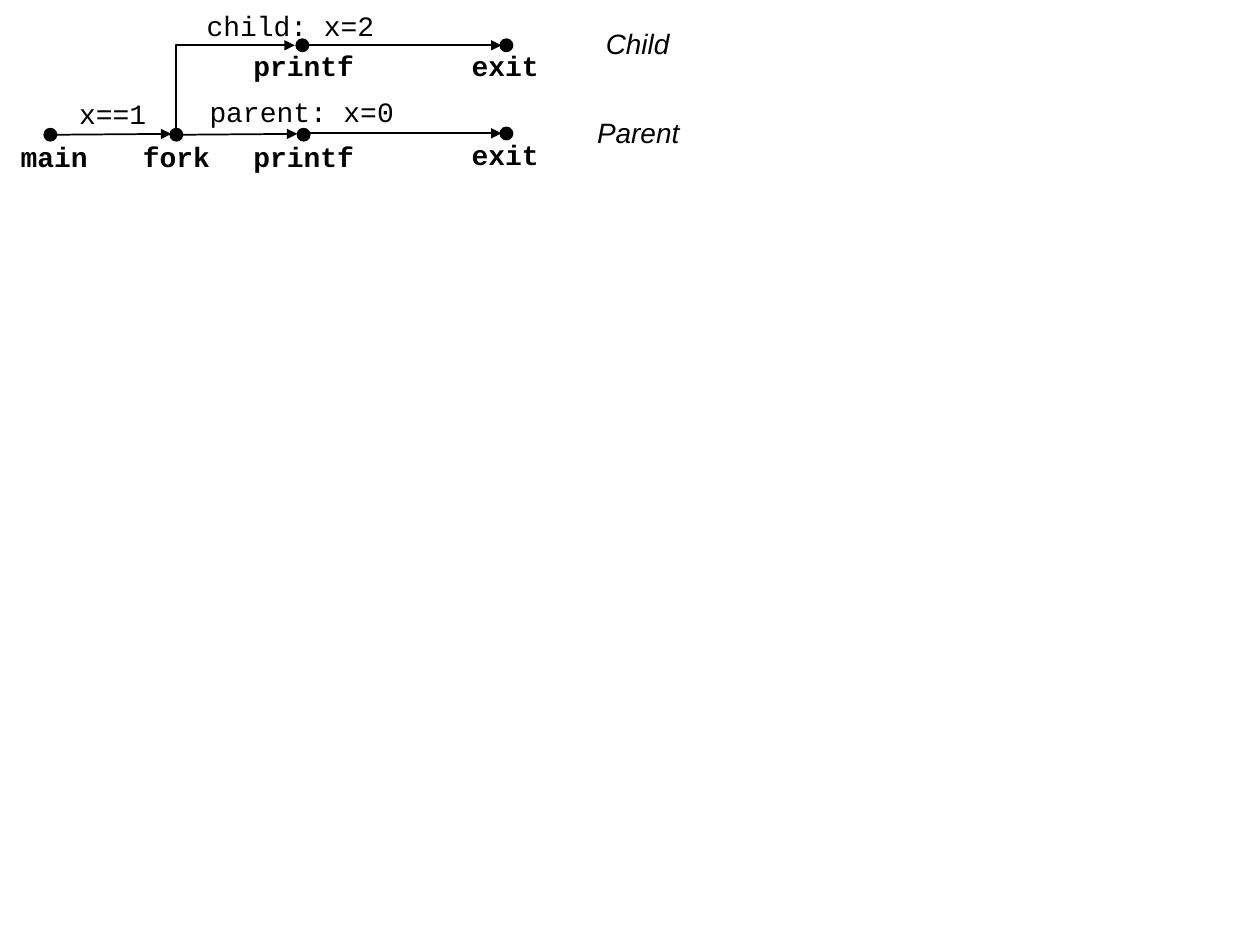
"""Draw the process graph of a fork with its child and parent branches."""
from lxml import etree
from pptx import Presentation
from pptx.dml.color import RGBColor
from pptx.enum import shapes, text
from pptx.oxml.ns import qn
from pptx.util import Pt

HUE = {"ink": "000000"}
ink = RGBColor.from_string(HUE["ink"])
deck = Presentation()
deck.slide_width, deck.slide_height = Pt(720), Pt(540)
slide = deck.slides.add_slide(deck.slide_layouts[6])


def label(words, mid, top, width, font="Courier New", bold=False,
          italic=False, align=text.PP_ALIGN.CENTER, wrap=True):
    box = slide.shapes.add_textbox(Pt(mid - width / 2), Pt(top), Pt(width), Pt(26.6))
    frame = box.text_frame
    frame.word_wrap = wrap
    frame.auto_size = text.MSO_AUTO_SIZE.SHAPE_TO_FIT_TEXT
    para = frame.paragraphs[0]
    para.alignment = align
    run = para.add_run()
    run.text = words
    run.font.name, run.font.size = font, Pt(16)
    run.font.bold, run.font.italic = bold, italic
    run.font.color.rgb = ink


def arrow(x1, y1, x2, y2, kind=shapes.MSO_CONNECTOR.STRAIGHT):
    link = slide.shapes.add_connector(kind, Pt(x1), Pt(y1), Pt(x2), Pt(y2))
    link.line.color.rgb = ink
    link.line.width = Pt(1)
    etree.SubElement(link.line._get_or_add_ln(), qn("a:tailEnd"), type="triangle")
    etree.SubElement(link._element.spPr, qn("a:effectLst"))
    return link


size = 7.2
high, low = 25.9, 77
main, fork, print_x, exit_x = 28.8, 100.8, 173.5, 289.4

for x, y in ((main, low), (fork, low), (print_x, low), (exit_x, low - 0.7),
             (print_x - 0.7, high), (exit_x, high)):
    dot = slide.shapes.add_shape(shapes.MSO_SHAPE.OVAL, Pt(x - size / 2),
                                 Pt(y - size / 2), Pt(size), Pt(size))
    dot.shadow.inherit = False
    dot.fill.solid()
    dot.fill.fore_color.rgb = dot.line.color.rgb = ink
    dot.line.width = Pt(0.75)

for x1, y1, x2, y2 in ((32.4, low, 97.9, 76.5), (104.4, low, 169.9, 76.5),
                       (175.7, 76.2, 286.6, 76.2), (175.7, high, 286.6, high)):
    arrow(x1, y1, x2, y2)

bend = arrow(159.8, 85, 109.4, 17.3, shapes.MSO_CONNECTOR.ELBOW)
bend._element.spPr.find(qn("a:prstGeom")).set("prst", "bentConnector2")
bend._element.spPr.find(qn("a:xfrm")).set("rot", "5400000")

for words, mid, top, width in (("main", 31, 76.3, 53.3), ("fork", fork, 76.3, 52.6),
                               ("printf", print_x, 76.3, 75), ("printf", print_x, 24.5, 75),
                               ("exit", exit_x - 0.7, 74.9, 75), ("exit", exit_x - 0.7, 24.5, 75)):
    label(words, mid, top, width, bold=True, wrap=words != "main")

for words, mid, top, width in (("child: x=2", 166, 1.4, 144.7), ("x==1", 64.4, 51.8, 62.6),
                               ("parent: x=0", 172.4, 50.4, 144.7)):
    label(words, mid, top, width)

for words, mid, top, width in (("Child", 366.8, 11.5, 55.4), ("Parent", 367.2, 62.6, 66.2)):
    label(words, mid, top, width, font="Arial", italic=True,
          align=text.PP_ALIGN.LEFT, wrap=False)

deck.save("out.pptx")
